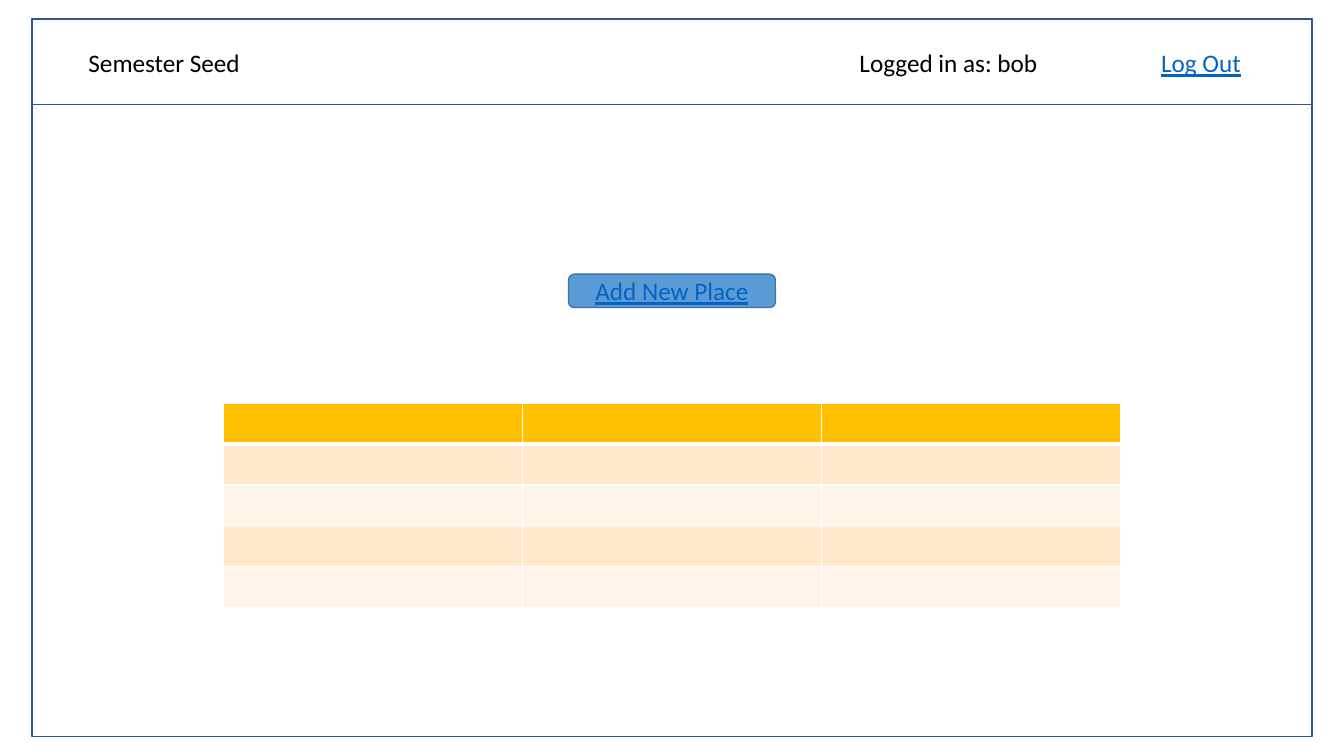
from lxml import etree
from pptx import Presentation
from pptx import util as u
from pptx.dml.color import RGBColor
from pptx.enum import shapes, text
from pptx.oxml import ns

WHITE = RGBColor(0xFF, 0xFF, 0xFF)
BLACK = RGBColor(0x00, 0x00, 0x00)
FRAME_LINE = RGBColor(0x32, 0x54, 0x91)
LINK_BLUE = RGBColor(0x05, 0x63, 0xC1)
BUTTON_FILL = RGBColor(0x5B, 0x9B, 0xD5)
BUTTON_LINE = RGBColor(0x43, 0x73, 0x9E)
HEADER_GOLD = RGBColor(0xFF, 0xC0, 0x00)
BANDS = (RGBColor(0xFF, 0xE8, 0xCC), RGBColor(0xFF, 0xF4, 0xE7))

# Content: lengths in centimetres
SLIDE_WIDTH, SLIDE_HEIGHT = 33.87, 19.05
PAGE_WIDTH, PAGE_HEIGHT, PAGE_TOP, BAR_HEIGHT = 32.26, 18.08, 0.48, 2.16
LABEL_TOP, LABEL_HEIGHT = 1.07, 1.02
LABELS = [  # wording, left, width, format
    ("Log Out", 29.01, 2.9, {"color": LINK_BLUE, "underline": True}),
    ("Logged in as: bob", 21.41, 7.01, {"color": BLACK}),
    ("Semester Seed", 1.98, 6.32, {"color": BLACK}),
]
TABLE_TOP, COLUMN_WIDTH, ROW_HEIGHT = 10.16, 7.53, 1.03
ROWS, COLUMNS = 5, 3
BUTTON_TEXT = "Add New Place"
BUTTON_TOP, BUTTON_WIDTH, BUTTON_HEIGHT = 6.91, 5.21, 0.84


def centred(width):
    return (SLIDE_WIDTH - width) / 2


def write(shape, wording, color, **extra):
    run = shape.text_frame.paragraphs[0].add_run()
    run.text = wording
    run.font.color.rgb = color
    for name, value in {"name": "Calibri", "size": u.Pt(18), **extra}.items():
        setattr(run.font, name, value)


def add_box(slide, kind, top, width, height, fill, line):
    shape = slide.shapes.add_shape(
        kind, *map(u.Cm, (centred(width), top, width, height)))
    shape.shadow.inherit = False
    shape.fill.solid()
    shape.fill.fore_color.rgb = fill
    shape.line.color.rgb = line
    shape.line.width = u.Pt(1)
    return shape


def set_borders(cell, bottom, top):
    properties = cell._tc.get_or_add_tcPr()
    widths = {"a:lnL": 1, "a:lnR": 1, "a:lnT": top, "a:lnB": bottom}
    for position, (side, width) in enumerate(widths.items()):
        line = etree.Element(ns.qn(side), w=str(u.Pt(width)))
        fill = etree.SubElement(line, ns.qn("a:solidFill"))
        etree.SubElement(fill, ns.qn("a:srgbClr"), val=str(WHITE))
        properties.insert(position, line)


def add_places_table(slide):
    width, height = COLUMNS * COLUMN_WIDTH, ROWS * ROW_HEIGHT
    table = slide.shapes.add_table(
        ROWS, COLUMNS, *map(u.Cm, (centred(width), TABLE_TOP, width, height))).table
    for row_number, row in enumerate(table.rows):
        for cell in row.cells:
            cell.fill.solid()
            cell.fill.fore_color.rgb = (
                BANDS[(row_number - 1) % 2] if row_number else HEADER_GOLD)
            set_borders(cell, bottom=1 if row_number else 3,
                        top=3 if row_number == 1 else 1)


def main():
    presentation = Presentation()
    presentation.slide_width = u.Cm(SLIDE_WIDTH)
    presentation.slide_height = u.Cm(SLIDE_HEIGHT)
    slide = presentation.slides.add_slide(presentation.slide_layouts[6])

    # Page frame and top bar
    for height in (PAGE_HEIGHT, BAR_HEIGHT):
        add_box(slide, shapes.MSO_SHAPE.RECTANGLE, PAGE_TOP, PAGE_WIDTH, height,
                WHITE, FRAME_LINE)

    # Top bar labels
    for wording, left, width, font_format in LABELS:
        label = slide.shapes.add_textbox(
            *map(u.Cm, (left, LABEL_TOP, width, LABEL_HEIGHT)))
        label.text_frame.word_wrap = True
        write(label, wording, **font_format)

    # Table of places
    add_places_table(slide)

    # Button
    button = add_box(slide, shapes.MSO_SHAPE.ROUNDED_RECTANGLE, BUTTON_TOP,
                     BUTTON_WIDTH, BUTTON_HEIGHT, BUTTON_FILL, BUTTON_LINE)
    button.text_frame.vertical_anchor = text.MSO_ANCHOR.MIDDLE
    button.text_frame.paragraphs[0].alignment = text.PP_ALIGN.CENTER
    write(button, BUTTON_TEXT, LINK_BLUE, underline=True)

    presentation.save("out.pptx")


if __name__ == "__main__":
    main()
